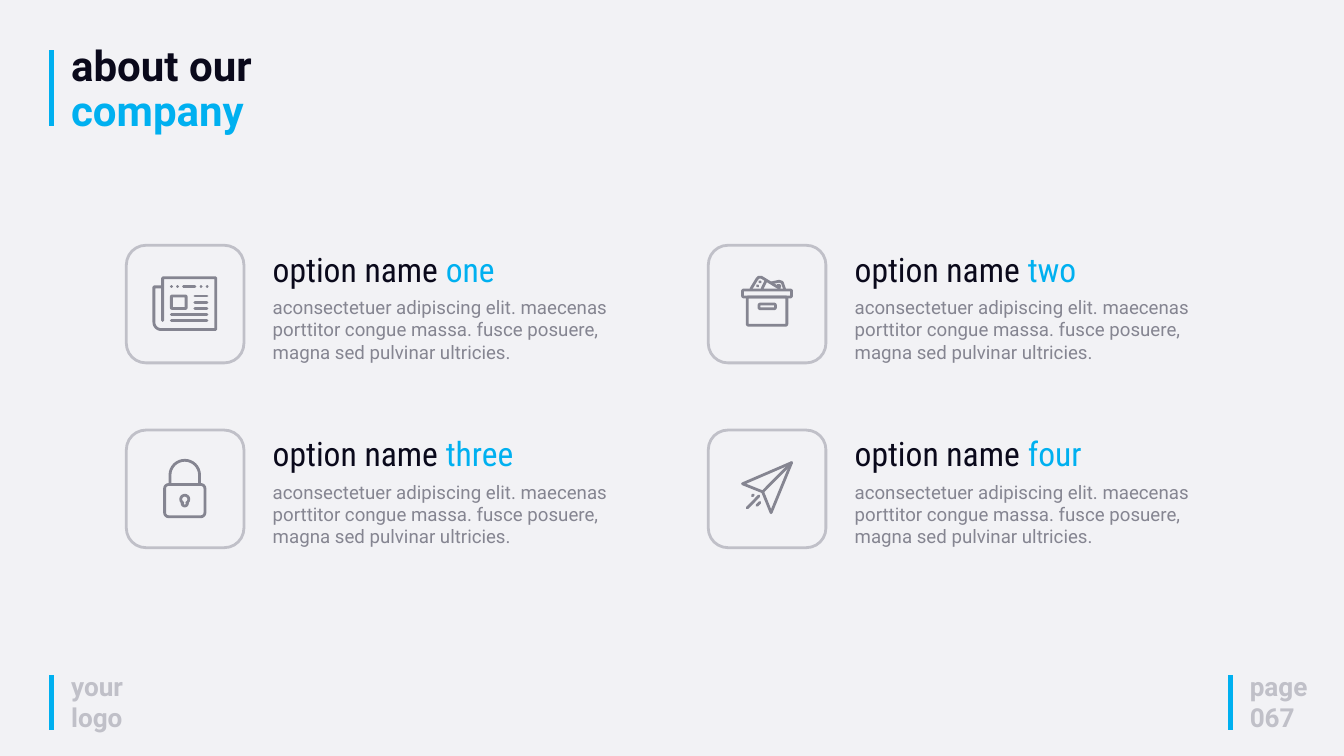
import math

import pptx
import pptx.dml.color
import pptx.enum.shapes
import pptx.enum.text
import pptx.oxml
import pptx.util

COLORS = {"background": "F2F2F5", "accent": "00B0F0", "ink": "0A091B",
          "body": "858591", "muted": "C0C0C8"}
FONT, CONDENSED = "Roboto", "Roboto Condensed"

# The slide is a grid of square cells
COLUMNS, ROWS = 80, 45
CELL = pptx.util.Inches(0.25)
BADGE = 7            # badge side, in cells
ICON_GRID = 175      # icon points run from 0 to 175 across a badge
DESCRIPTION = ("aconsectetuer adipiscing elit. maecenas porttitor congue massa. "
               "fusce posuere, magna sed pulvinar ultricies.")


def cells(*lengths):
    return [round(length * CELL) for length in lengths]


def rgb(name):
    return pptx.dml.color.RGBColor.from_string(COLORS[name])


# ---- Icon outlines: lists of (points, closed) ----
def arc(x, y, radius, start, end, steps=16):
    angles = [math.radians(start + (end - start) * i / steps) for i in range(steps + 1)]
    return [(x + radius * math.cos(a), y + radius * math.sin(a)) for a in angles]


def rounded(left, top, right, bottom, r=2):
    corners = [(right - r, top + r, -90), (right - r, bottom - r, 0),
               (left + r, bottom - r, 90), (left + r, top + r, 180)]
    return [p for x, y, a in corners for p in arc(x, y, r, a, a + 90, 4)], True


def stroke(*points):
    return list(points), False


def newspaper():
    page = [(54, 112), (54, 48.5), (133, 48.5), (133, 125.5),
            *arc(52, 114.5, 11, 90, 180), (41, 62), (54, 62)]
    dots = [stroke((x, 62), (x + 0.5, 62)) for x in (67, 76, 111, 120)]
    short_lines = [stroke((102, y), (120, y)) for y in (75.5, 84.75, 94)]
    long_lines = [stroke((67, y), (120, y)) for y in (103, 112)]
    return [(page, False), rounded(67, 75.5, 89, 94, 1), stroke((85, 62), (102, 62)),
            *dots, *short_lines, *long_lines]


def padlock():
    shackle = [(65, 81), *arc(87, 67, 22, 180, 360), (109, 81)]
    keyhole = [*arc(87, 103, 6, 120, 420), *arc(87, 109, 4, 0, 180, 8)]
    return [rounded(57, 81, 117, 129, 6), (shackle, False), (keyhole, True)]


def archive_box():
    return [rounded(51, 66.5, 124, 77), rounded(58, 77, 117, 119),
            rounded(75.5, 87.5, 100, 94.5),
            stroke((63.5, 65), (72.5, 50), (75, 47.5), (79, 47.5), (106, 64)),
            stroke((80, 65), (85.5, 53.5)),
            stroke((94, 56), (105.5, 53.5), (110, 55), (113.5, 65)),
            stroke((76.5, 54), (77.5, 55)), stroke((73, 60), (74, 61)),
            stroke((103, 60), (106, 59.5), (106.5, 62))]


def paper_plane():
    return [([(51, 80), (124, 48.5), (93.5, 123), (81, 92)], True),
            stroke((81, 92), (124, 48.5)), stroke((65.5, 98), (67, 96.5)),
            stroke((58, 116), (75.5, 98)), stroke((72.5, 112), (77, 107.5))]


# ---- Shared helpers ----
def add_text(shapes, box, paragraphs, size, font=FONT, bold=False, spacing=None):
    """Each paragraph is a list of (text, colour); None is a line break."""
    frame = shapes.add_textbox(*cells(*box)).text_frame
    frame.word_wrap = True
    frame.auto_size = pptx.enum.text.MSO_AUTO_SIZE.SHAPE_TO_FIT_TEXT
    for index, parts in enumerate(paragraphs):
        paragraph = frame.add_paragraph() if index else frame.paragraphs[0]
        if spacing:
            paragraph.line_spacing = spacing
        for part in parts:
            if part is None:
                paragraph.add_line_break()
                continue
            run = paragraph.add_run()
            run.text = part[0]
            run.font.name, run.font.bold = font, bold
            run.font.size = pptx.util.Pt(size)
            run.font.color.rgb = rgb(part[1])


def outline(shape, color):
    shape.shadow.inherit = False
    shape.fill.background()
    shape.line.color.rgb = rgb(color)
    shape.line.width = pptx.util.Pt(3)


def add_icon(shapes, left, top, contours):
    unit = BADGE * CELL / ICON_GRID
    builder = None
    for points, closed in contours:
        (x, y), *rest = [(px * unit, py * unit) for px, py in points]
        if builder is None:
            builder = shapes.build_freeform(x, y)
        else:
            builder.move_to(x, y)
        builder.add_line_segments(rest, close=closed)
    icon = builder.convert_to_shape(*cells(left, top))
    outline(icon, "body")
    line = icon.line._get_or_add_ln()
    line.set("cap", "rnd")
    line.append(pptx.oxml.parse_xml(
        '<a:round xmlns:a="http://schemas.openxmlformats.org/drawingml/2006/main"/>'))


# ---- Regions ----
def add_marked_text(slide, box, bar_height, paragraphs, size, spacing=None):
    """Bold text beside a vertical accent bar at the left of the box."""
    left, top, width, height = box
    bar = slide.shapes.add_connector(
        pptx.enum.shapes.MSO_CONNECTOR.STRAIGHT, *cells(left, top, left, top + bar_height))
    bar.line.color.rgb = rgb("accent")
    bar.line.width = pptx.util.Pt(5)
    bar._element.spPr.append(pptx.oxml.parse_xml(
        '<a:effectLst xmlns:a="http://schemas.openxmlformats.org/drawingml/2006/main"/>'))
    add_text(slide.shapes, (left + 0.76, top - 0.5, width - 0.76, height),
             paragraphs, size, bold=True, spacing=spacing)


def add_option(slide, box, number, icon):
    """Badge with icon at the left, heading and description at the right."""
    left, top, width, height = box
    shapes = slide.shapes.add_group_shape().shapes
    copy_left, copy_width, heading_height = left + 8.32, width - 8.32, 2.8
    add_text(shapes, (copy_left, top + heading_height, copy_width, height - heading_height),
             [[(DESCRIPTION, "body")]], 20)
    add_text(shapes, (copy_left, top, copy_width, heading_height),
             [[("option name ", "ink"), (number, "accent")]], 36, CONDENSED)
    badge = shapes.add_shape(pptx.enum.shapes.MSO_SHAPE.ROUNDED_RECTANGLE,
                             *cells(left, top, BADGE, BADGE))
    outline(badge, "muted")
    add_icon(shapes, left, top, icon)


def main():
    deck = pptx.Presentation()
    deck.slide_width, deck.slide_height = cells(COLUMNS, ROWS)
    slide = deck.slides.add_slide(deck.slide_layouts[6])
    slide.background.fill.solid()
    slide.background.fill.fore_color.rgb = rgb("background")

    # Title and footers
    add_marked_text(slide, (3.08, 3, 24.6, 5.84), 4.52,
                    [[("about our", "ink"), None, ("company", "accent")]], 45, 0.9)
    add_marked_text(slide, (3.08, 40.2, 5.52, 4.16), 3.24, [[("your logo", "muted")]], 28)
    add_marked_text(slide, (73.24, 40.2, 8.36, 4.16), 3.24,
                    [[("page", "muted")], [("067", "muted")]], 28)

    # Two by two options
    options = [("one", newspaper()), ("two", archive_box()),
               ("three", padlock()), ("four", paper_plane())]
    for index, (number, icon) in enumerate(options):
        row, column = divmod(index, 2)
        add_option(slide, (7.52 + 34.64 * column, 14.6 + 11 * row, 31.16, 7.24), number, icon)

    deck.save("out.pptx")


if __name__ == "__main__":
    main()
